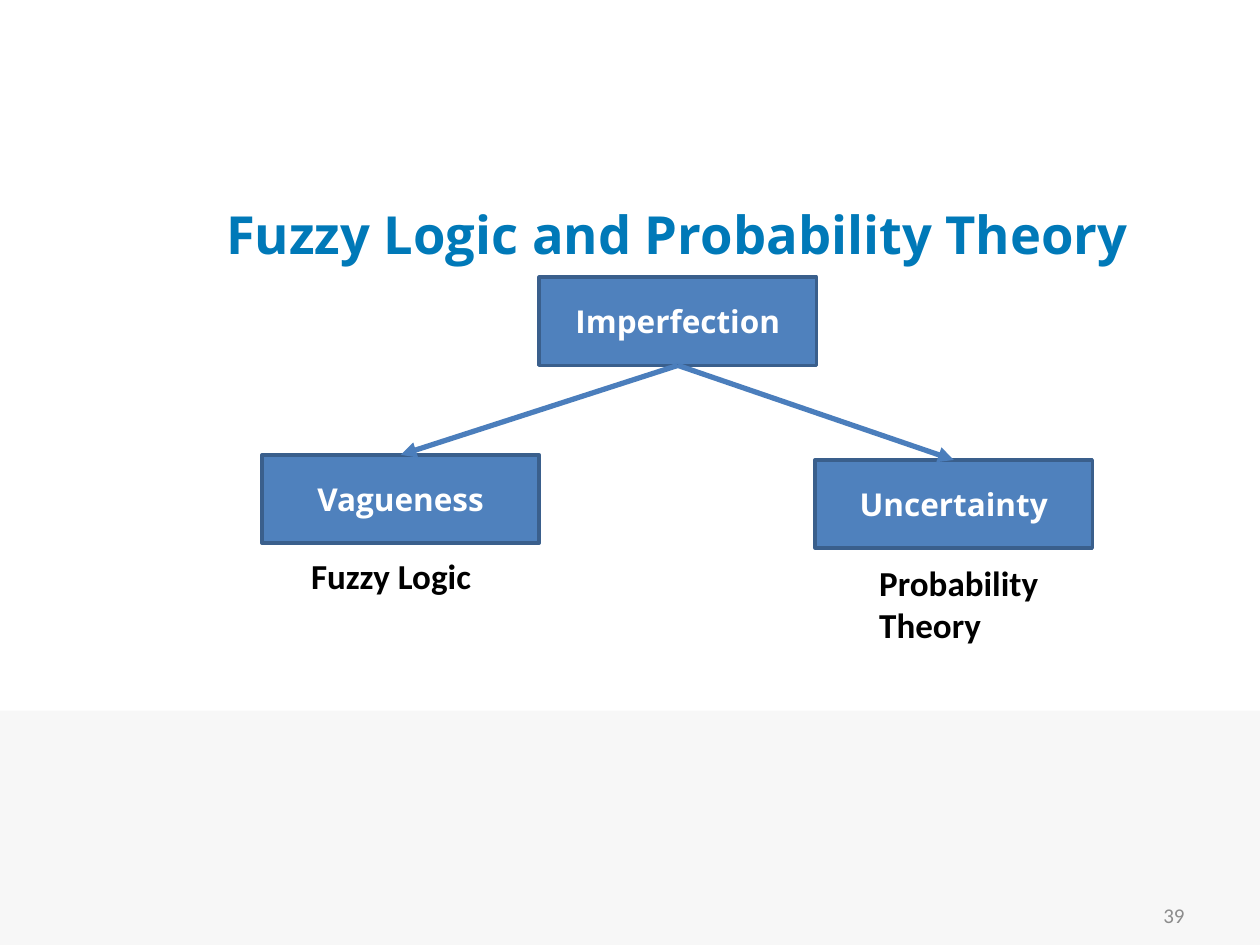
from dataclasses import dataclass

from lxml import etree
from pptx import Presentation, util as u
from pptx.dml.color import RGBColor
from pptx.enum import shapes, text
from pptx.oxml import ns

Pt = u.Pt
Align = text.PP_ALIGN
Anchor = text.MSO_ANCHOR
BOX_W, BOX_H = 158.4, 50.4


@dataclass
class Node:
    label: str
    left: float
    top: float


@dataclass
class Note:
    lines: str
    left: float
    top: float
    width: float
    height: float
    size: float = 20
    color: str = "000000"
    bold: bool = True
    wrap: bool = False
    align: Align = Align.LEFT
    anchor: Anchor = Anchor.TOP


ROOT = Node("Imperfection", 308.16, 158.4)
LEAVES = [
    Node("Vagueness", 149.76, 259.92),
    Node("Uncertainty", 465.84, 262.8),
]
NOTES = [
    Note("Fuzzy Logic", 170.64, 313.2, 107.28, 31.68),
    Note("Probability\nTheory", 495.36, 317.52, 105.84, 55.44),
    Note("39", 516.24, 508.32, 167.76, 28.8, 12, "8C8C8C", False, True,
         Align.RIGHT, Anchor.MIDDLE),
]


def paint(target, color: str) -> None:
    target.rgb = RGBColor.from_string(color)


def write(shape, lines: str, font: str, size: float, color: str,
          bold: bool = True, align: Align = Align.CENTER,
          anchor: Anchor = Anchor.MIDDLE, wrap: bool = True) -> None:
    frame = shape.text_frame
    frame.text = lines
    frame.word_wrap = wrap
    frame.vertical_anchor = anchor
    for para in frame.paragraphs:
        para.alignment = align
        para.font.name = font
        para.font.size = Pt(size)
        para.font.bold = bold
        paint(para.font.color, color)


def add_rect(slide, left: float, top: float, width: float, height: float,
             fill: str):
    rect = slide.shapes.add_shape(shapes.MSO_SHAPE.RECTANGLE, Pt(left),
                                  Pt(top), Pt(width), Pt(height))
    rect.shadow.inherit = False
    rect.fill.solid()
    paint(rect.fill.fore_color, fill)
    return rect


def add_node(slide, node: Node):
    box = add_rect(slide, node.left, node.top, BOX_W, BOX_H, "4F81BD")
    paint(box.line.color, "3A5F8C")
    box.line.width = Pt(2)
    write(box, node.label, "Open Sans", 18, "FFFFFF")
    return box


def add_note(slide, note: Note) -> None:
    box = slide.shapes.add_textbox(Pt(note.left), Pt(note.top),
                                   Pt(note.width), Pt(note.height))
    write(box, note.lines, "Calibri", note.size, note.color, note.bold,
          note.align, note.anchor, note.wrap)


def add_arrow(slide, start, end) -> None:
    arrow = slide.shapes.add_connector(shapes.MSO_CONNECTOR.STRAIGHT,
                                       0, 0, 0, 0)
    arrow.begin_connect(start, 2)
    arrow.end_connect(end, 0)
    paint(arrow.line.color, "4B7EBC")
    arrow.line.width = Pt(3)
    tail = etree.SubElement(arrow.line._get_or_add_ln(), ns.qn("a:tailEnd"))
    tail.set("type", "triangle")
    etree.SubElement(arrow._element.spPr, ns.qn("a:effectLst"))


def main() -> None:
    deck = Presentation()
    deck.slide_width, deck.slide_height = Pt(720), Pt(540)
    slide = deck.slides.add_slide(deck.slide_layouts[5])
    title = slide.shapes.title
    title.left, title.top = Pt(90), Pt(108)
    title.width, title.height = Pt(594), Pt(50.4)
    write(title, "Fuzzy Logic and Probability Theory", "Open Sans", 30,
          "0079B8")
    band = add_rect(slide, 0, 406.08, 720, 133.92, "F7F7F7")
    band.line.fill.background()
    root = add_node(slide, ROOT)
    leaves = [add_node(slide, leaf) for leaf in LEAVES]
    for note in NOTES:
        add_note(slide, note)
    for leaf in leaves:
        add_arrow(slide, root, leaf)
    deck.save("out.pptx")


if __name__ == "__main__":
    main()
